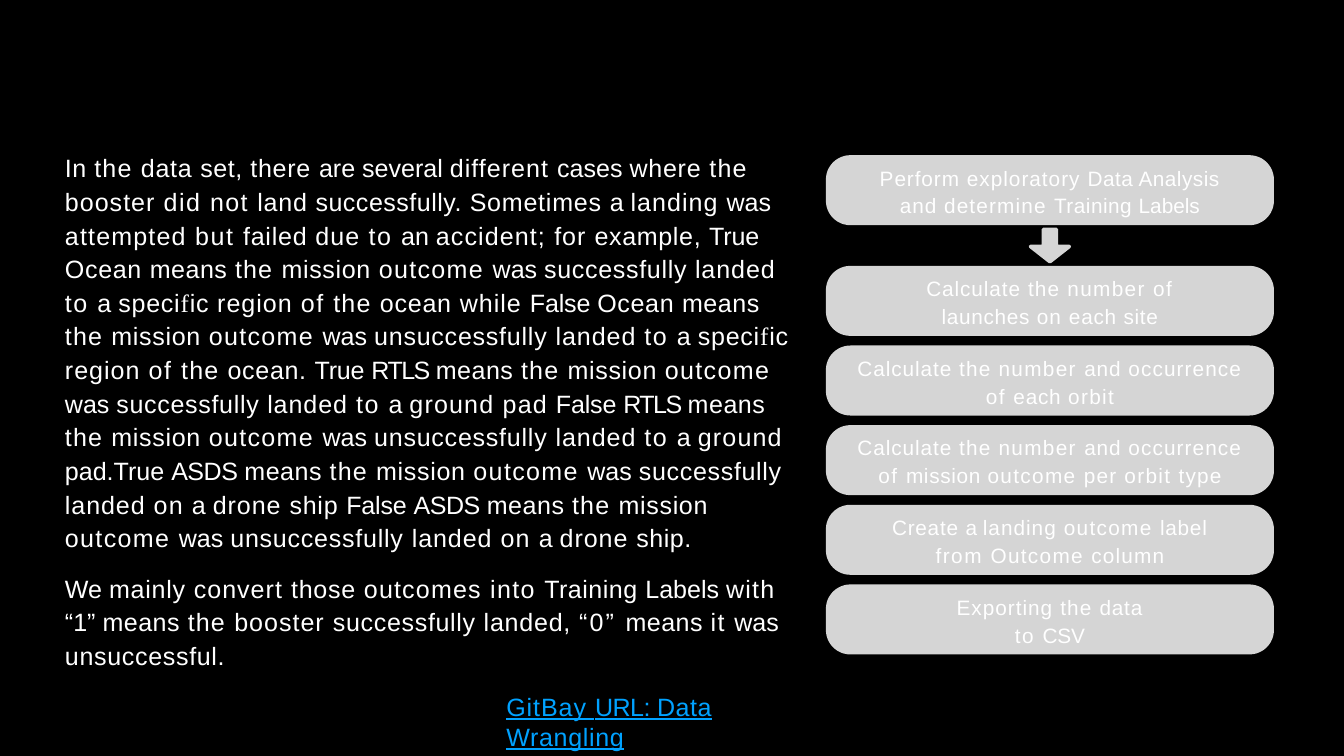
from itertools import groupby

from pptx import Presentation, util as u
from pptx.dml import color
from pptx.enum import shapes, text

# Letter spacing in points, by word; other words take the default
DEFAULT_TRACKING = 0.9
TRACKING = {
    word: points
    for points, words in {
        -1.8: "RTLS",
        -0.6: "ASDS URL:",
        -0.2: "True False CSV",
        0: "are several cases a an was pad.True We “1” Labels",
        0.6: "In set, successfully. means Training ship. Data Analysis",
        0.8: "example, Ocean mission successfully ocean. unsuccessful. site Wrangling launches",
        1.1: "landed drone Perform Calculate and GitBay",
        1.2: "different booster landing for region while convert Exporting exploratory",
        1.3: "due accident; on pad occurrence",
        1.4: "the attempted ground outcomes with determine type column per",
        1.6: "not outcome into it orbit Outcome number",
        1.8: "did but to of from",
        2.6: "“0”",
    }.items()
    for word in words.split()
}

CASES = (
    "In the data set, there are several different cases where the booster did not land "
    "successfully. Sometimes a landing was attempted but failed due to an accident; for example, "
    "True Ocean means the mission outcome was successfully landed to a specific region of the "
    "ocean while False Ocean means the mission outcome was unsuccessfully landed to a specific "
    "region of the ocean. True RTLS means the mission outcome was successfully landed to a ground "
    "pad False RTLS means the mission outcome was unsuccessfully landed to a ground pad.True ASDS "
    "means the mission outcome was successfully landed on a drone ship False ASDS means the "
    "mission outcome was unsuccessfully landed on a drone ship."
)
LABELS = (
    "We mainly convert those outcomes into Training Labels with “1” means the booster "
    "successfully landed, “0” means it was unsuccessful."
)
LINK = "GitBay URL: Data Wrangling"

FIRST_STEP = "Perform exploratory Data Analysis\nand determine Training Labels"
NEXT_STEPS = [
    "Calculate the number of\nlaunches on each site",
    "Calculate the number and occurrence\nof each orbit",
    "Calculate the number and occurrence\nof mission outcome per orbit type",
    "Create a landing outcome label\nfrom Outcome column",
    "Exporting the data\nto CSV",
]


def rgb(value):
    return color.RGBColor.from_string(value)


def add_span(para, words, *, size, ink, tracking, font="Arial", underline=None):
    span = para.add_run()
    span.text = words
    span.font.size = u.Pt(size)
    span.font.name = font
    span.font.color.rgb = rgb(ink)
    span.font.underline = underline
    span._r.get_or_add_rPr().set("spc", str(round(tracking * 100)))


def write(para, content, **style):
    """Fill a paragraph, with letter spacing that follows the words."""
    for number, line in enumerate(content.split("\n")):
        if number:
            para.add_line_break()
        words = line.split()
        tokens = [word + " " for word in words[:-1]] + words[-1:]
        for tracking, group in groupby(
            tokens, lambda token: TRACKING.get(token.strip(), DEFAULT_TRACKING)
        ):
            # The f of "specific" is set in a serif face
            for index, part in enumerate("".join(group).split("specific")):
                if index:
                    for piece, font in (("speci", "Arial"), ("f", "Times New Roman"), ("ic", "Arial")):
                        add_span(para, piece, tracking=tracking, font=font, **style)
                if part:
                    add_span(para, part, tracking=tracking, **style)


class Slide:
    ink, panel, link = "FFFFFF", "D5D5D5", "00A2FF"
    body_size, step_size, spacing = 29.5, 24.5, 1.12

    def __init__(self, deck):
        self.page = deck.slides.add_slide(deck.slide_layouts[6])
        fill = self.page.background.fill
        fill.solid()
        fill.fore_color.rgb = rgb("000000")

    def frame(self, box):
        frame = box.text_frame
        frame.word_wrap = True
        frame.margin_left = frame.margin_right = frame.margin_top = frame.margin_bottom = 0
        return frame

    def body(self, left, top, width, height, paragraphs):
        box = self.page.shapes.add_textbox(u.Cm(left), u.Cm(top), u.Cm(width), u.Cm(height))
        frame = self.frame(box)
        for number, (content, before, indent, style) in enumerate(paragraphs):
            para = frame.add_paragraph() if number else frame.paragraphs[0]
            if number:
                para.space_before = u.Pt(before)
            if indent:
                para._p.get_or_add_pPr().set("marL", str(u.Cm(indent)))
            else:
                para.line_spacing = self.spacing
            write(para, content, **{"size": self.body_size, "ink": self.ink, **style})

    def panel_shape(self, kind, left, top, width, height, adjustments):
        shape = self.page.shapes.add_shape(kind, u.Cm(left), u.Cm(top), u.Cm(width), u.Cm(height))
        shape.shadow.inherit = False
        for index, value in enumerate(adjustments):
            shape.adjustments[index] = value
        shape.fill.solid()
        shape.fill.fore_color.rgb = rgb(self.panel)
        shape.line.fill.background()
        return shape

    def step(self, top, content):
        shape = self.panel_shape(
            shapes.MSO_SHAPE.ROUNDED_RECTANGLE, 34.32, top, 18.62, 2.91, [0.35]
        )
        frame = self.frame(shape)
        frame.vertical_anchor = text.MSO_ANCHOR.MIDDLE
        para = frame.paragraphs[0]
        para.alignment = text.PP_ALIGN.CENTER
        para.line_spacing = self.spacing
        write(para, content, size=self.step_size, ink=self.ink)

    def arrow(self, left, top, width, height):
        shape = self.panel_shape(
            shapes.MSO_SHAPE.DOWN_ARROW, left, top, width, height, [0.33, 0.47]
        )
        shape.line.color.rgb = rgb(self.panel)
        shape.line.width = u.Pt(4.12)


def main():
    deck = Presentation()
    deck.slide_width, deck.slide_height = u.Cm(55.85), u.Cm(31.42)
    slide = Slide(deck)

    # Explanation and link
    slide.body(2.7, 6.2, 30.15, 23.8, [
        (CASES, 0, 0, {}),
        (LABELS, 19.8, 0, {}),
        (LINK, 24.4, 18.34, {"ink": slide.link, "underline": True}),
    ])

    # Steps: the first leads by an arrow to an even column
    slide.step(6.45, FIRST_STEP)
    slide.arrow(42.82, 9.53, 1.62, 1.35)
    for number, content in enumerate(NEXT_STEPS):
        slide.step(11.05 + 3.31 * number, content)

    deck.save("out.pptx")


if __name__ == "__main__":
    main()
